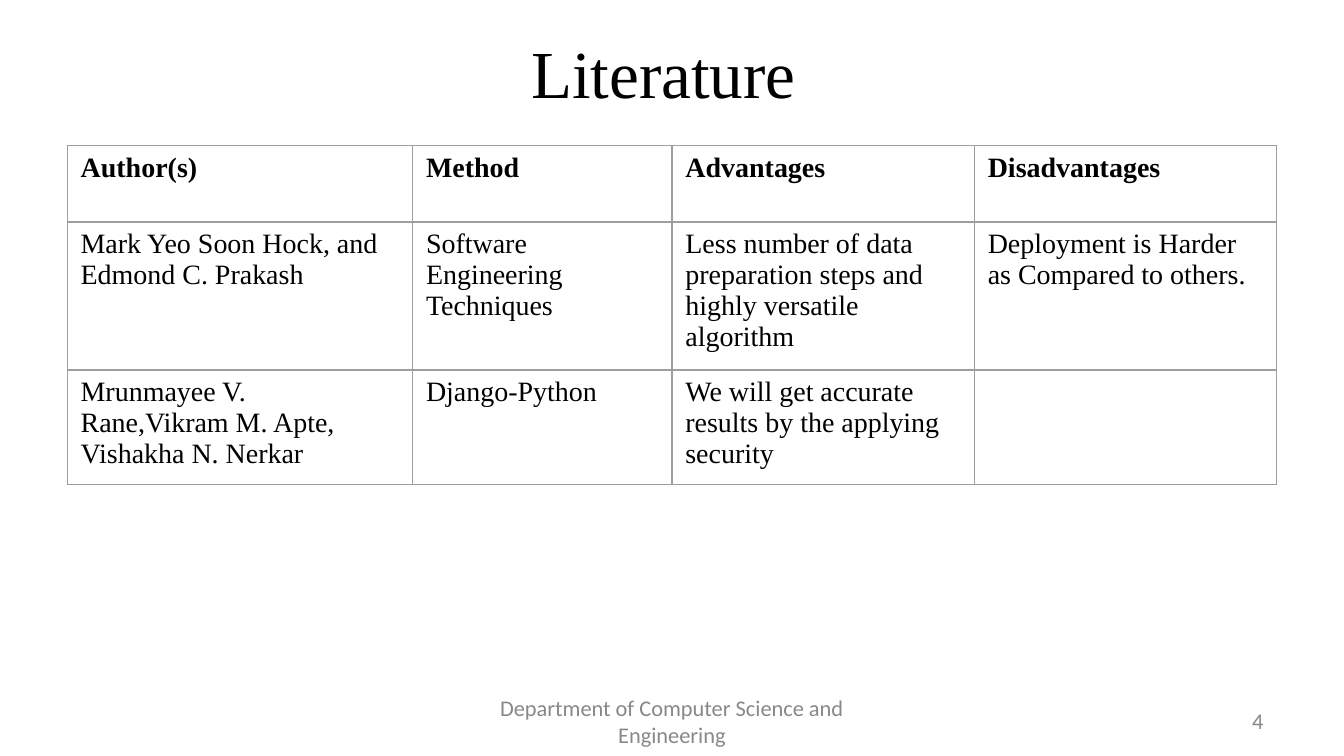
import pptx
import pptx.util
import pptx.dml.color
import pptx.enum.text
import pptx.oxml.ns
from lxml import etree

RGBColor = pptx.dml.color.RGBColor
ALIGN = pptx.enum.text.PP_ALIGN
ANCHOR = pptx.enum.text.MSO_ANCHOR
Inches = pptx.util.Inches
Pt = pptx.util.Pt

BLACK = RGBColor(0x00, 0x00, 0x00)
GREY = RGBColor(0x88, 0x88, 0x88)
RULE = RGBColor(0x9E, 0x9E, 0x9E)

WIDTH = 10
HEIGHT = WIDTH * 9 / 16
COLUMNS = [2.57, 1.93, 2.25, 2.25]
ROW_HEIGHT = 0.57

TITLE = {"name": "Times New Roman", "size": Pt(36)}
HEADER = {"name": "Times New Roman", "size": Pt(15), "bold": True}
BODY = {**HEADER, "bold": False}
FOOTER = {"name": "Calibri", "size": Pt(12)}

LITERATURE = [
    ["Author(s)", "Method", "Advantages", "Disadvantages"],
    [
        "Mark Yeo Soon Hock, and Edmond C. Prakash",
        "Software Engineering Techniques",
        "Less number of data preparation steps and highly versatile algorithm",
        "Deployment is Harder as Compared to others.",
    ],
    [
        "Mrunmayee V. Rane,Vikram M. Apte, Vishakha N. Nerkar",
        "Django-Python",
        "We will get accurate results by the applying security",
        "",
    ],
]


def share(left, top, width, height):
    return [Inches(part * full / 100) for part, full in
            zip((left, top, width, height), (WIDTH, HEIGHT, WIDTH, HEIGHT))]


def write(para, text, formats, color):
    span = para.add_run()
    span.text = text
    for name, value in formats.items():
        setattr(span.font, name, value)
    span.font.color.rgb = color


def add_label(page, box, text, formats, color, align):
    frame = page.shapes.add_textbox(*box).text_frame
    frame.word_wrap = True
    frame.vertical_anchor = ANCHOR.MIDDLE
    para = frame.paragraphs[0]
    para.alignment = align
    write(para, text, formats, color)


def draw_borders(cell):
    properties = cell._tc.get_or_add_tcPr()
    for position, side in enumerate(("lnL", "lnR", "lnT", "lnB")):
        line = etree.Element(pptx.oxml.ns.qn("a:" + side), w=str(Pt(0.75)))
        fill = etree.SubElement(line, pptx.oxml.ns.qn("a:solidFill"))
        etree.SubElement(fill, pptx.oxml.ns.qn("a:srgbClr"), val=str(RULE))
        properties.insert(position, line)


def add_literature_table(page, box):
    left, top, width, height = box
    holder = page.shapes.add_table(len(LITERATURE), len(COLUMNS), *box)
    table = holder.table
    table.first_row = table.horz_banding = False
    for column, part in zip(table.columns, COLUMNS):
        column.width = int(width * part / sum(COLUMNS))
    for row, texts in zip(table.rows, LITERATURE):
        row.height = Inches(ROW_HEIGHT)
        formats = HEADER if texts is LITERATURE[0] else BODY
        for cell, text in zip(row.cells, texts):
            cell.fill.background()
            draw_borders(cell)
            para = cell.text_frame.paragraphs[0]
            if text:
                write(para, text, formats, BLACK)
            else:
                para.font.size = formats["size"]
    holder.height = height


def add_footer(page, top, height):
    add_label(page, share(34.17, top, 31.67, height),
              "Department of Computer Science and Engineering",
              FOOTER, GREY, ALIGN.CENTER)
    add_label(page, share(71.67, top, 23.33, height), "4",
              FOOTER, GREY, ALIGN.RIGHT)


def main():
    deck = pptx.Presentation()
    deck.slide_width, deck.slide_height = Inches(WIDTH), Inches(HEIGHT)
    page = deck.slides.add_slide(deck.slide_layouts[6])
    add_label(page, share(16.54, 3.4, 66.9, 12.27), "Literature ",
              TITLE, BLACK, ALIGN.CENTER)
    add_literature_table(page, share(5, 19.25, 90, 71.47))
    add_footer(page, 92.69, 5.33)
    deck.save("out.pptx")


if __name__ == "__main__":
    main()
